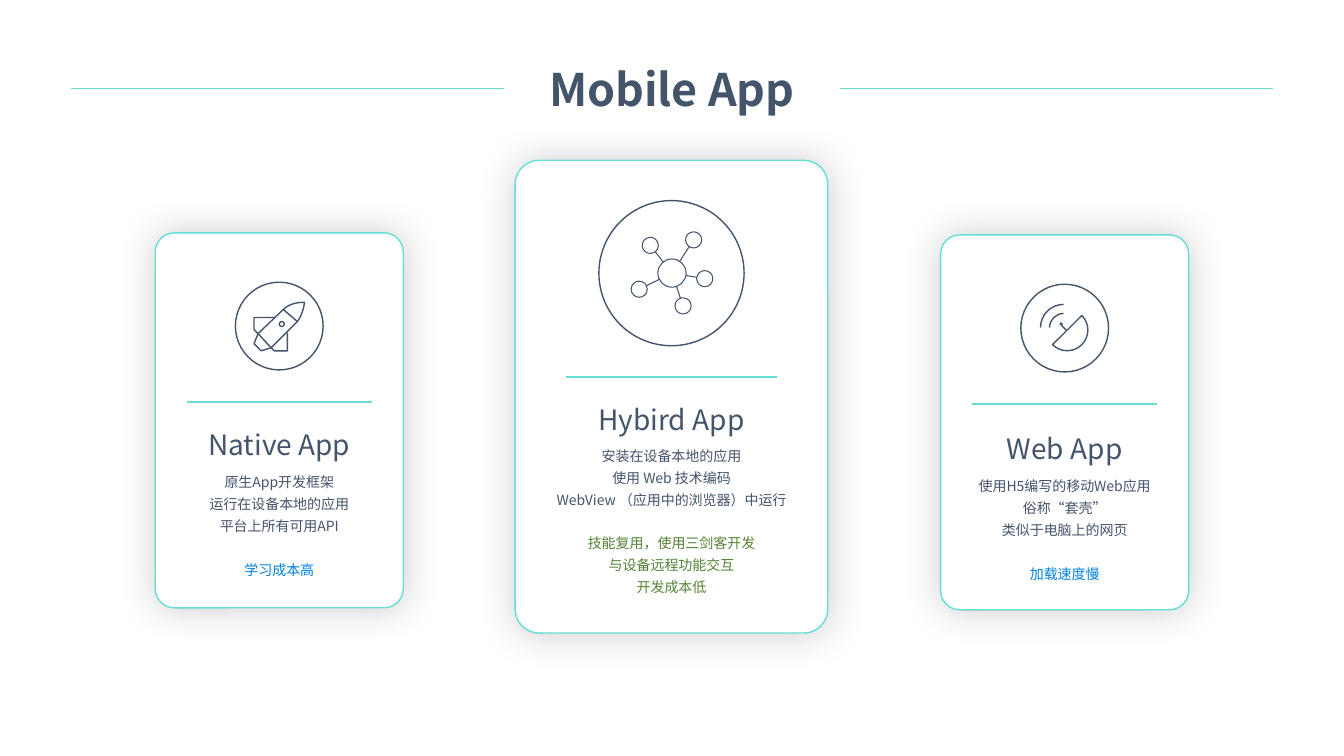
import math

from lxml import etree
from pptx import Presentation
from pptx import util as u
from pptx.dml.color import RGBColor
from pptx.enum import shapes, text
from pptx.oxml import parse_xml
from pptx.oxml.ns import nsdecls, qn

FONT = "Noto Sans CJK SC"
NAVY, TEAL, BLUE, GREEN = "44546A", "66DDD5", "0081E1", "548235"
SMALL = dict(width=2.46, height=3.72, rule_inset=0.31, rule_y=1.68,
             circle_y=0.49, circle_size=0.87)
LARGE = dict(width=3.1, height=4.69, rule_inset=0.5, rule_y=2.15,
             circle_y=0.4, circle_size=1.44)


def color(value):
    return RGBColor.from_string(value)


def set_format(target, values):
    for name, value in values.items():
        setattr(target, name, value)


def set_line(shape, value, width):
    shape.line.color.rgb = color(value)
    shape.line.width = u.Pt(width)


def add_rule(parent, left, right, y, width):
    rule = parent.add_connector(shapes.MSO_CONNECTOR.STRAIGHT, u.Inches(left),
                                u.Inches(y), u.Inches(right), u.Inches(y))
    set_line(rule, TEAL, width)
    etree.SubElement(rule._element.spPr, qn("a:effectLst"))


def add_text(parent, at, blocks, size, bold=False, spacing=1.0,
             anchor=text.MSO_ANCHOR.TOP):
    """Write blocks of (lines, colour), with a gap of one line between blocks."""
    box = parent.add_textbox(*map(u.Inches, at))
    set_format(box.text_frame, dict(
        word_wrap=True, vertical_anchor=anchor,
        auto_size=text.MSO_AUTO_SIZE.SHAPE_TO_FIT_TEXT))
    para = box.text_frame.paragraphs[0]
    for block, (lines, ink) in enumerate(blocks):
        for row, line in enumerate(lines):
            if block or row:
                para = box.text_frame.add_paragraph()
            set_format(para, dict(alignment=text.PP_ALIGN.CENTER, line_spacing=spacing))
            if block and not row:
                para.space_before = u.Pt(15.6)
            span = para.add_run()
            span.text = line
            set_format(span.font, dict(name=FONT, size=u.Pt(size), bold=bold))
            span.font.color.rgb = color(ink)
            east = etree.SubElement(span.font._element, qn("a:ea"))
            east.set("typeface", FONT)


def add_panel(parent, left, top, width, height):
    panel = parent.add_shape(shapes.MSO_SHAPE.ROUNDED_RECTANGLE,
                             *map(u.Inches, (left, top, width, height)))
    panel.adjustments[0] = 0.077
    panel.fill.solid()
    panel.fill.fore_color.rgb = color("FFFFFF")
    set_line(panel, TEAL, 1)
    panel.shadow.inherit = False
    panel._element.spPr.find(qn("a:effectLst")).append(parse_xml(
        f'<a:outerShdw {nsdecls("a")} blurRad="{u.Pt(28)}" dist="0" dir="0" '
        'algn="ctr" rotWithShape="0"><a:srgbClr val="000000">'
        '<a:alpha val="20000"/></a:srgbClr></a:outerShdw>'))


def add_ring(parent, left, top, size):
    ring = parent.add_shape(shapes.MSO_SHAPE.OVAL,
                            *map(u.Inches, (left, top, size, size)))
    ring.fill.background()
    set_line(ring, NAVY, 1)
    ring.shadow.inherit = False


def arc(x, y, radius, start=0, end=360):
    """Start point and quarter-circle curves, in degrees clockwise from the right."""
    def at(angle, pull=0):
        a = math.radians(angle)
        return (x + radius * (math.cos(a) - pull * math.sin(a)),
                y + radius * (math.sin(a) + pull * math.cos(a)))

    pull = 0.55
    return [[at(start)]] + [[at(a, pull), at(a + 90, -pull), at(a + 90)]
                            for a in range(start, end, 90)]


def lines(*points):
    return [[point] for point in points]


def add_icon(parent, contours, width):
    """Draw contours whose parts hold one point for a line, three for a curve."""
    builder = None
    for contour in contours:
        points = [(u.Inches(x), u.Inches(y)) for part in contour for x, y in part]
        if builder is None:
            builder = parent.build_freeform(*points[0], scale=1.0)
        else:
            builder.move_to(*points[0])
        builder.add_line_segments(points[1:], close=False)
    icon = builder.convert_to_shape()
    steps = iter(list(next(icon._element.iter(qn("a:path")))))
    for part in (part for contour in contours for part in contour):
        group = [next(steps) for _ in part]
        if len(group) == 3:
            bend = etree.Element(qn("a:cubicBezTo"))
            group[0].addprevious(bend)
            for step in group:
                bend.append(step[0])
                step.getparent().remove(step)
    icon.fill.background()
    set_line(icon, NAVY, width)
    icon.shadow.inherit = False


def rocket():
    tip, shoulder, side = (3.02, 3), (2.81, 3.07), (2.95, 3.19)
    tail_left, tail_right = (2.56, 3.31), (2.69, 3.45)
    return [
        [[tip], [(3.01, 3.11), side, side],
         *lines(tail_right, (2.59, 3.48), (2.52, 3.41), tail_left, shoulder),
         [(2.89, 2.99), tip, tip]],
        lines(shoulder, side),
        lines((2.72, 3.15), (2.52, 3.15), (2.52, 3.27), tail_left),
        lines(tail_left, tail_right, (2.72, 3.48), (2.85, 3.48), (2.85, 3.3)),
        arc(2.795, 3.215, 0.025),
    ]


def dish():
    bowl = arc(10.585, 3.275, 0.205, -45, 135)
    waves = [arc(10.55, 3.25, radius, 180, 270) for radius in (0.14, 0.23)]
    return [lines((10.58, 3.28), (10.53, 3.23)), arc(10.525, 3.215, 0.01),
            *waves, bowl + bowl[:1]]


def network():
    hub, hub_radius, node_radius = (6.665, 2.71), 0.14, 0.08
    nodes = [(6.88, 2.38), (6.45, 2.435), (6.34, 2.87), (6.775, 3.035), (6.99, 2.765)]
    contours = [arc(*hub, hub_radius)]
    for node in nodes:
        reach = math.dist(hub, node)
        ends = [hub_radius / reach, 1 - node_radius / reach]
        contours.append(arc(*node, node_radius))
        contours.append(lines(*[[h + (n - h) * t for h, n in zip(hub, node)]
                                for t in ends]))
    return contours


def add_card(page, left, top, layout, title, title_y, text_y, blocks, icon, icon_width=1):
    parent = page.shapes.add_group_shape().shapes
    width, size = layout["width"], layout["circle_size"]
    inset, margin = layout["rule_inset"], 0.08
    add_panel(parent, left, top, width, layout["height"])
    add_rule(parent, left + inset, left + width - inset, top + layout["rule_y"], 1)
    inner, line_count = width - 2 * margin, sum(len(rows) for rows, _ in blocks) + 1
    add_text(parent, (left + margin, title_y, inner, 0.44), [([title], NAVY)], 20)
    add_text(parent, (left + margin, text_y, inner, 0.1 + 0.215 * line_count),
             blocks, 10, spacing=1.3)
    add_ring(parent, left + (width - size) / 2, top + layout["circle_y"], size)
    add_icon(parent, icon, icon_width)


def main():
    deck = Presentation()
    set_format(deck, dict(slide_width=u.Inches(13.33), slide_height=u.Inches(7.5)))
    page = deck.slides.add_slide(deck.slide_layouts[6])
    for left in (0.7, 8.33):
        add_rule(page.shapes, left, left + 4.3, 0.88, 0.5)
    add_text(page.shapes, (5, 0.56, 3.33, 0.64), [(["Mobile App"], NAVY)], 32,
             bold=True, anchor=text.MSO_ANCHOR.MIDDLE)
    add_card(page, 1.54, 2.31, SMALL, "Native App", 4.19, 4.6, [
        (["原生App开发框架", "运行在设备本地的应用", "平台上所有可用API"], NAVY),
        (["学习成本高"], BLUE)], rocket())
    add_card(page, 9.33, 2.33, SMALL, "Web App", 4.23, 4.64, [
        (["使用H5编写的移动Web应用", "俗称“套壳”", "类似于电脑上的网页"], NAVY),
        (["加载速度慢"], BLUE)], dish())
    add_card(page, 5.11, 1.59, LARGE, "Hybird App", 3.94, 4.34, [
        (["安装在设备本地的应用", "使用 Web 技术编码",
          "WebView （应用中的浏览器）中运行"], NAVY),
        (["技能复用，使用三剑客开发", "与设备远程功能交互", "开发成本低"], GREEN)],
        network(), 0.75)
    deck.save("out.pptx")


if __name__ == "__main__":
    main()
